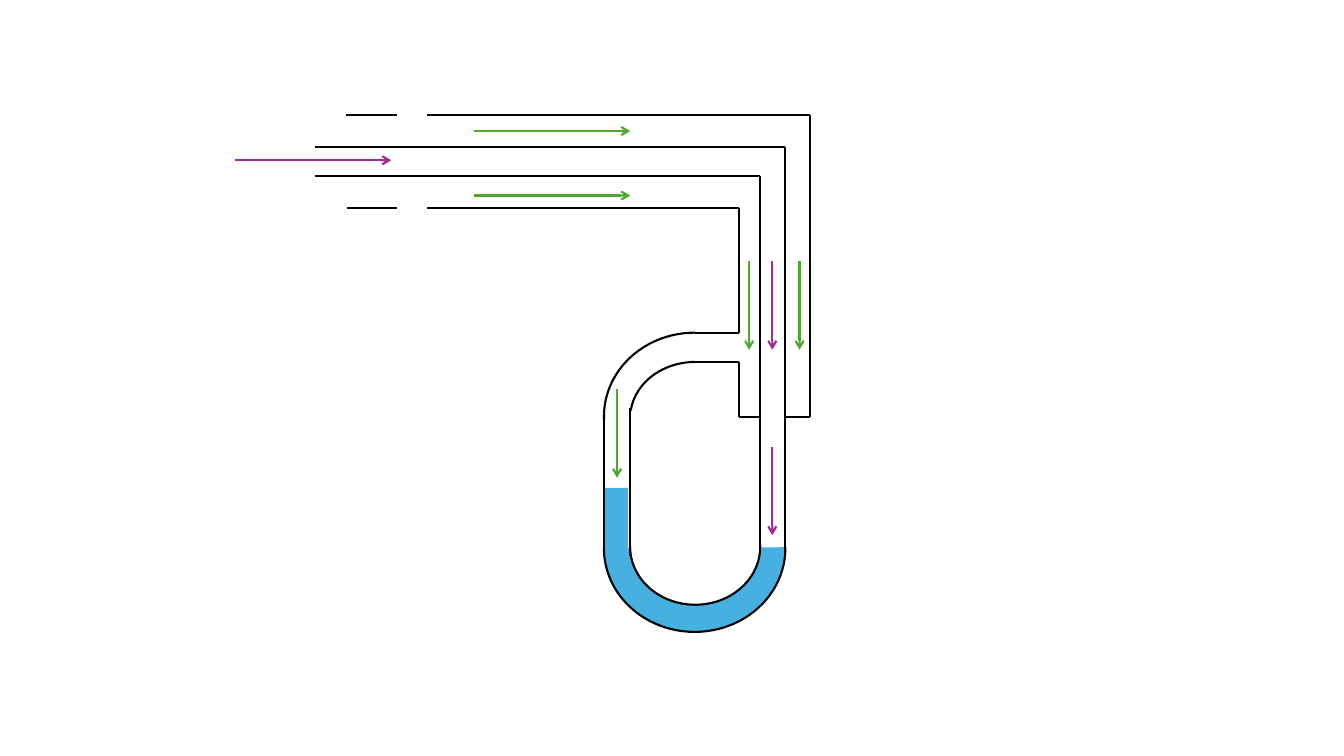
"""Draw a U-tube manometer joined to a double-walled pitot tube."""
import dataclasses

import lxml.etree
import pptx
import pptx.dml.color
import pptx.enum.shapes
import pptx.oxml.ns
import pptx.util

Inches = pptx.util.Inches


@dataclasses.dataclass(frozen=True)
class Theme:
    """Colours and line weight of the diagram."""
    wall: str = "000000"
    static_flow: str = "4EA72E"
    total_flow: str = "A02B93"
    liquid: str = "46B1E1"
    paper: str = "FFFFFF"
    weight: float = 1.5


THEME = Theme()

OUTER_TOP, INNER_TOP, INNER_BOTTOM, OUTER_BOTTOM = 1.14, 1.46, 1.75, 2.06
OUTER_LEFT, INNER_LEFT, INNER_RIGHT, OUTER_RIGHT = 7.33, 7.54, 7.79, 8.03
JACKET_END = 4.14
BRANCH_TOP, BRANCH_BOTTOM, BRANCH_START = 3.3, 3.59, 6.89
LEG_OUTER, LEG_INNER = 5.99, 6.25
LEG_END = 5.52
HOLE_START, HOLE_END = 3.94, 4.24

JACKET_WALLS = [
    (HOLE_END, OUTER_TOP, OUTER_RIGHT, OUTER_TOP),
    (OUTER_RIGHT, JACKET_END, OUTER_RIGHT, OUTER_TOP),
    (INNER_RIGHT, JACKET_END, OUTER_RIGHT, JACKET_END),
    (OUTER_LEFT, JACKET_END, INNER_LEFT, JACKET_END),
    (OUTER_LEFT, JACKET_END, OUTER_LEFT, BRANCH_BOTTOM),
    (OUTER_LEFT, BRANCH_TOP, OUTER_LEFT, OUTER_BOTTOM),
    (HOLE_END, OUTER_BOTTOM, OUTER_LEFT, OUTER_BOTTOM),
    (3.43, OUTER_TOP, HOLE_START, OUTER_TOP),
    (3.44, OUTER_BOTTOM, HOLE_START, OUTER_BOTTOM),
]
INNER_TUBE_WALLS = [
    (3.12, INNER_TOP, INNER_RIGHT, INNER_TOP),
    (3.12, INNER_BOTTOM, INNER_LEFT, INNER_BOTTOM),
    (INNER_LEFT, 5.42, INNER_LEFT, INNER_BOTTOM),
    (INNER_RIGHT, 5.47, INNER_RIGHT, INNER_TOP),
]
MANOMETER_WALLS = [
    (LEG_OUTER, LEG_END, LEG_OUTER, JACKET_END),
    (LEG_INNER, LEG_END, LEG_INNER, 4.05),
    (BRANCH_START, BRANCH_TOP, OUTER_LEFT, BRANCH_TOP),
    (BRANCH_START, BRANCH_BOTTOM, OUTER_LEFT, BRANCH_BOTTOM),
]
ACROSS, DOWN = (1.55, 0), (0, 0.88)
FLOWS = [
    (THEME.total_flow, ACROSS, [(2.33, 1.59)]),
    (THEME.static_flow, ACROSS, [(4.7, 1.3), (4.7, 1.94)]),
    (THEME.total_flow, DOWN, [(7.66, 2.59), (7.66, 4.43)]),
    (THEME.static_flow, DOWN, [(7.43, 2.59), (7.93, 2.59), (6.12, 3.86)]),
]


def rgb(colour):
    """Turn a hex string into a colour."""
    return pptx.dml.color.RGBColor.from_string(colour)


def add_line(shapes, ends, colour=THEME.wall, arrow=False):
    """Draw a straight line, with an arrowhead at its end if asked."""
    line = shapes.add_connector(
        pptx.enum.shapes.MSO_CONNECTOR.STRAIGHT, *map(Inches, ends))
    line.line.color.rgb = rgb(colour)
    line.line.width = pptx.util.Pt(THEME.weight)
    qn = pptx.oxml.ns.qn
    properties = line._element.spPr
    if arrow:
        lxml.etree.SubElement(properties.find(qn("a:ln")), qn("a:tailEnd"), type="arrow")
    lxml.etree.SubElement(properties, qn("a:effectLst"))


def add_area(shapes, preset, box, fill=None, outline=None):
    """Draw a preset shape with optional fill and outline."""
    area = shapes.add_shape(preset, *map(Inches, box))
    area.shadow.inherit = False
    if fill:
        area.fill.solid()
        area.fill.fore_color.rgb = rgb(fill)
    else:
        area.fill.background()
    if outline:
        area.line.color.rgb = rgb(outline)
        area.line.width = pptx.util.Pt(THEME.weight)
    else:
        area.line.fill.background()
    return area


def add_bend(shapes, box, angles, fill=None, rotation=0):
    """Draw a curved tube wall between two arc angles."""
    bend = add_area(shapes, pptx.enum.shapes.MSO_SHAPE.ARC, box, fill, THEME.wall)
    bend.adjustments[0], bend.adjustments[1] = angles
    bend.rotation = rotation


def add_manometer_bends(shapes):
    """Draw the liquid-filled lower bend, the upper bend and the liquid column."""
    outer_width, inner_width = INNER_RIGHT - LEG_OUTER, INNER_LEFT - LEG_INNER
    add_bend(shapes, (LEG_OUTER, 4.61, outer_width, 1.66), (215.59, 108.14), THEME.liquid)
    add_bend(shapes, (LEG_INNER, 4.85, inner_width, 1.15), (215.29, 108.4), THEME.paper)
    add_bend(shapes, (LEG_OUTER, BRANCH_TOP, outer_width, 1.66), (214.77, 54.14), rotation=180)
    add_bend(shapes, (LEG_INNER, BRANCH_BOTTOM, inner_width, 1.11), (3.95, 53.8), rotation=180)
    add_area(shapes, pptx.enum.shapes.MSO_SHAPE.RECTANGLE, (6, 4.84, 0.23, 0.6), THEME.liquid)


def main():
    """Build and save the slide."""
    deck = pptx.Presentation()
    deck.slide_width, deck.slide_height = Inches(13.33), Inches(7.5)
    slide = deck.slides.add_slide(deck.slide_layouts[6])
    apparatus = slide.shapes.add_group_shape().shapes
    add_manometer_bends(apparatus)
    for wall in JACKET_WALLS + INNER_TUBE_WALLS + MANOMETER_WALLS:
        add_line(apparatus, wall)
    for colour, (run, drop), starts in FLOWS:
        for x, y in starts:
            add_line(apparatus, (x, y, x + run, y + drop), colour, arrow=True)
    deck.save("out.pptx")


if __name__ == "__main__":
    main()
